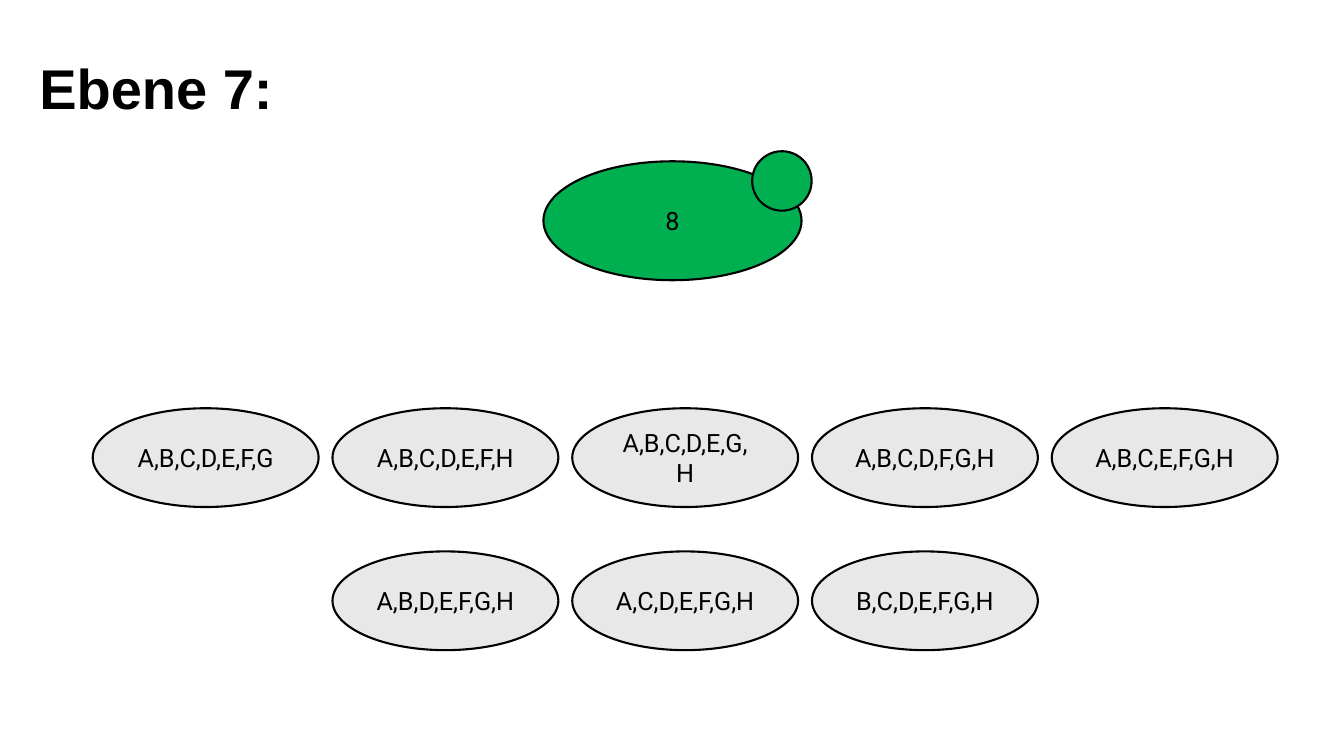
from pptx import Presentation
from pptx.dml.color import RGBColor
from pptx.enum.shapes import MSO_SHAPE
from pptx.enum.text import MSO_ANCHOR, PP_ALIGN
from pptx.util import Inches, Pt

BLACK = RGBColor(0x00, 0x00, 0x00)
GREEN = RGBColor(0x00, 0xB0, 0x50)
GREY = RGBColor(0xE8, 0xE8, 0xE8)

# Grid of the set ellipses, in inches
LEFT, TOP = 0.92, 4.05
COL, ROW = 2.378, 1.42
SET_W, SET_H = 2.24, 0.98

prs = Presentation()
prs.slide_width, prs.slide_height = Inches(13.33), Inches(7.5)
s = prs.slides.add_slide(prs.slide_layouts[5])


def add_ellipse(x, y, w, h, fill, text=""):
    sp = s.shapes.add_shape(MSO_SHAPE.OVAL, Inches(x), Inches(y), Inches(w), Inches(h))
    sp.shadow.inherit = False
    sp.fill.solid()
    sp.fill.fore_color.rgb = fill
    sp.line.color.rgb = BLACK
    sp.line.width = Pt(1.5)
    if text:
        tf = sp.text_frame
        tf.word_wrap = True
        tf.vertical_anchor = MSO_ANCHOR.MIDDLE
        p = tf.paragraphs[0]
        p.text = text
        p.alignment = PP_ALIGN.CENTER
        p.font.name = "Roboto"
        p.font.size = Pt(18)
        p.font.color.rgb = BLACK


# Title
title = s.shapes.title
title.left, title.top = Inches(0.29), Inches(0.51)
title.width, title.height = Inches(2.63), Inches(0.79)
tf = title.text_frame
tf.vertical_anchor = MSO_ANCHOR.MIDDLE
p = tf.paragraphs[0]
p.text = "Ebene 7:"
p.alignment = PP_ALIGN.LEFT
p.line_spacing = 0.9
p.font.name = "Arial"
p.font.size = Pt(40)
p.font.bold = True
p.font.color.rgb = BLACK

# Count of sets, with its badge
add_ellipse(5.39, 1.6, 2.56, 1.18, GREEN, "8")
add_ellipse(7.46, 1.5, 0.59, 0.59, GREEN)

# Sets of seven letters: first column and labels of each row
rows = [
    (0, ["A,B,C,D,E,F,G", "A,B,C,D,E,F,H", "A,B,C,D,E,G,H", "A,B,C,D,F,G,H", "A,B,C,E,F,G,H"]),
    (1, ["A,B,D,E,F,G,H", "A,C,D,E,F,G,H", "B,C,D,E,F,G,H"]),
]
for row, (first_col, labels) in enumerate(rows):
    for col, label in enumerate(labels, first_col):
        add_ellipse(LEFT + col * COL, TOP + row * ROW, SET_W, SET_H, GREY, label)

prs.save("out.pptx")
